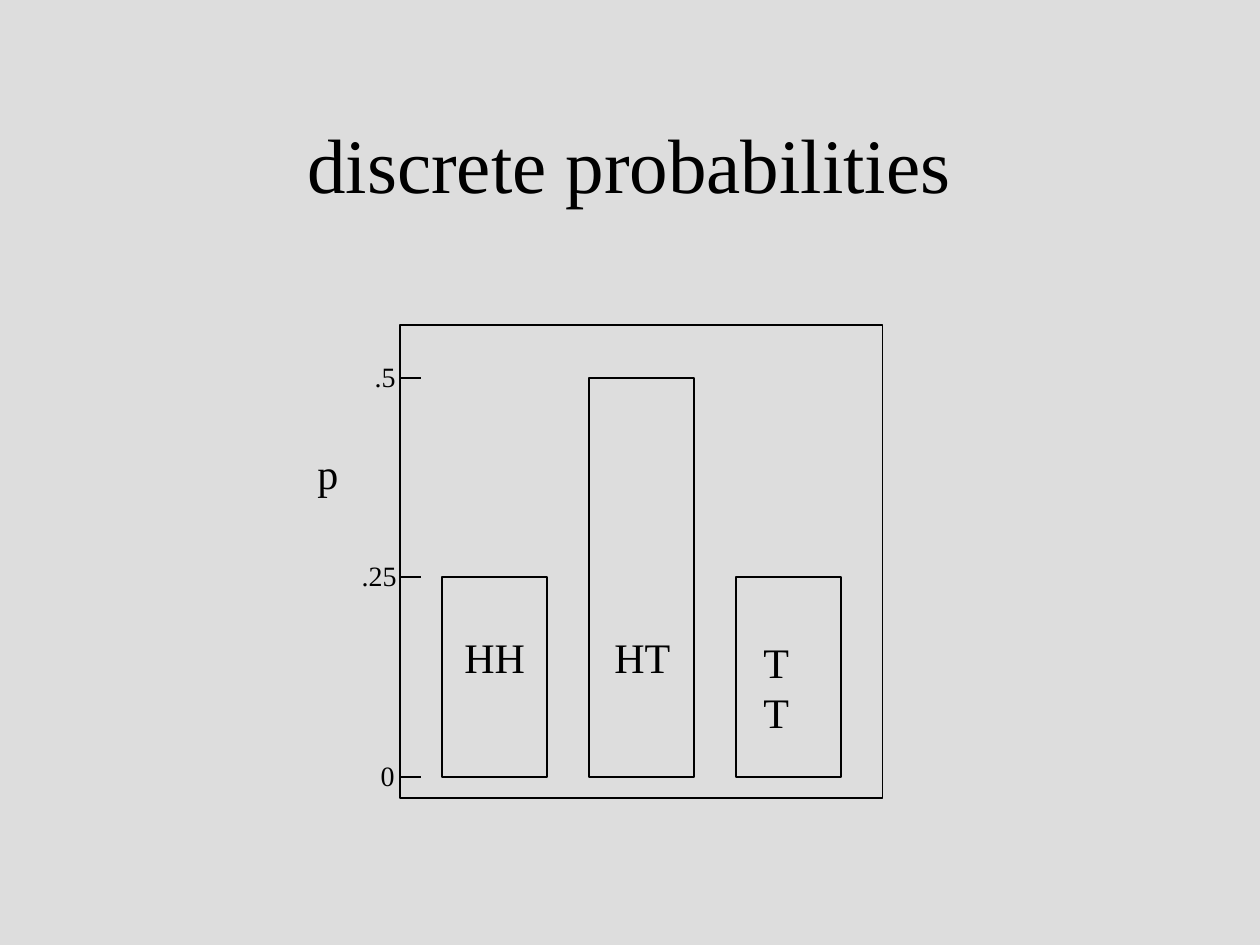
from dataclasses import dataclass

from lxml import etree
from pptx import Presentation
from pptx import util as u
from pptx.dml.color import RGBColor
from pptx.enum import shapes, text
from pptx.oxml.ns import qn

PX = 914400 // 126  # EMU in one px


@dataclass(frozen=True)
class Theme:
    font: str = "Times New Roman"
    ink: RGBColor = RGBColor(0, 0, 0)
    paper: RGBColor = RGBColor(0xDD, 0xDD, 0xDD)
    title: int = 44
    label: int = 24
    tick: int = 16
    line: float = 0.75


THEME = Theme()
TICKS = [(0, "0", 407), (0.25, ".25", 409), (0.5, ".5", 408)]  # value, label, right edge
# probability, label, label offset from bar, label width, label top
BARS = [(0.25, "HH", 10, 86, 625), (0.5, "HT", 13, 81, 625), (0.25, "TT", 15, 76, 630)]


def px(*lengths):
    return [u.Emu(n * PX) for n in lengths]


def set_text(sp, words, size, align, wrap=True):
    tf = sp.text_frame
    tf.text = words
    tf.word_wrap = wrap
    p = tf.paragraphs[0]
    p.alignment = align
    p.font.size = u.Pt(size)
    p.font.name = THEME.font
    p.font.color.rgb = THEME.ink


def add_label(s, box, words, size, align=text.PP_ALIGN.LEFT, wrap=True):
    sp = s.shapes.add_textbox(*px(*box))
    set_text(sp, words, size, align, wrap)
    sp.text_frame.auto_size = text.MSO_AUTO_SIZE.SHAPE_TO_FIT_TEXT


def add_outline(s, box):
    sp = s.shapes.add_shape(shapes.MSO_SHAPE.RECTANGLE, *px(*box))
    sp.shadow.inherit = False
    sp.fill.background()
    sp.line.color.rgb = THEME.ink
    sp.line.width = u.Pt(THEME.line)


def add_tick(s, x, y, length):
    cn = s.shapes.add_connector(shapes.MSO_CONNECTOR.STRAIGHT, *px(x, y, x + length, y))
    cn.line.color.rgb = THEME.ink
    cn.line.width = u.Pt(THEME.line)
    etree.SubElement(cn._element.spPr, qn("a:effectLst"))


def add_title(s, box, words):
    sp = s.shapes.title
    sp.left, sp.top, sp.width, sp.height = px(*box)
    set_text(sp, words, THEME.title, text.PP_ALIGN.CENTER)
    sp.text_frame.vertical_anchor = text.MSO_ANCHOR.MIDDLE


def add_histogram(s, left, top, width, height):
    base = top + height - 21
    bar_w, gap = 105, 42

    def level(value):
        return round(value * 798)

    # Bars and frame
    for i, (value, *_) in enumerate(BARS):
        x = left + gap + i * (bar_w + gap)
        add_outline(s, (x, base - level(value), bar_w, level(value)))
    add_outline(s, (left, top, width, height))

    # Probability axis
    for value, words, right in TICKS:
        y = base - level(value)
        add_tick(s, left, y, 21)
        add_label(s, (left + right - 400 - 75, y - 25, 75, 47), words, THEME.tick,
                  text.PP_ALIGN.RIGHT)
    add_label(s, (left - 95, top + 116, 53, 63), "p", THEME.label)

    # Outcome names
    for i, (_, words, dx, w, y) in enumerate(BARS):
        x = left + gap + i * (bar_w + gap) + dx
        add_label(s, (x, top + y - 325, w, 63), words, THEME.label, wrap=False)


def main():
    prs = Presentation()
    prs.slide_width, prs.slide_height = px(1260, 945)
    s = prs.slides.add_slide(prs.slide_layouts[5])
    s.background.fill.solid()
    s.background.fill.fore_color.rgb = THEME.paper
    add_title(s, (94, 84, 1071, 158), "discrete probabilities")
    add_histogram(s, 400, 325, 483, 473)
    prs.save("out.pptx")


if __name__ == "__main__":
    main()
